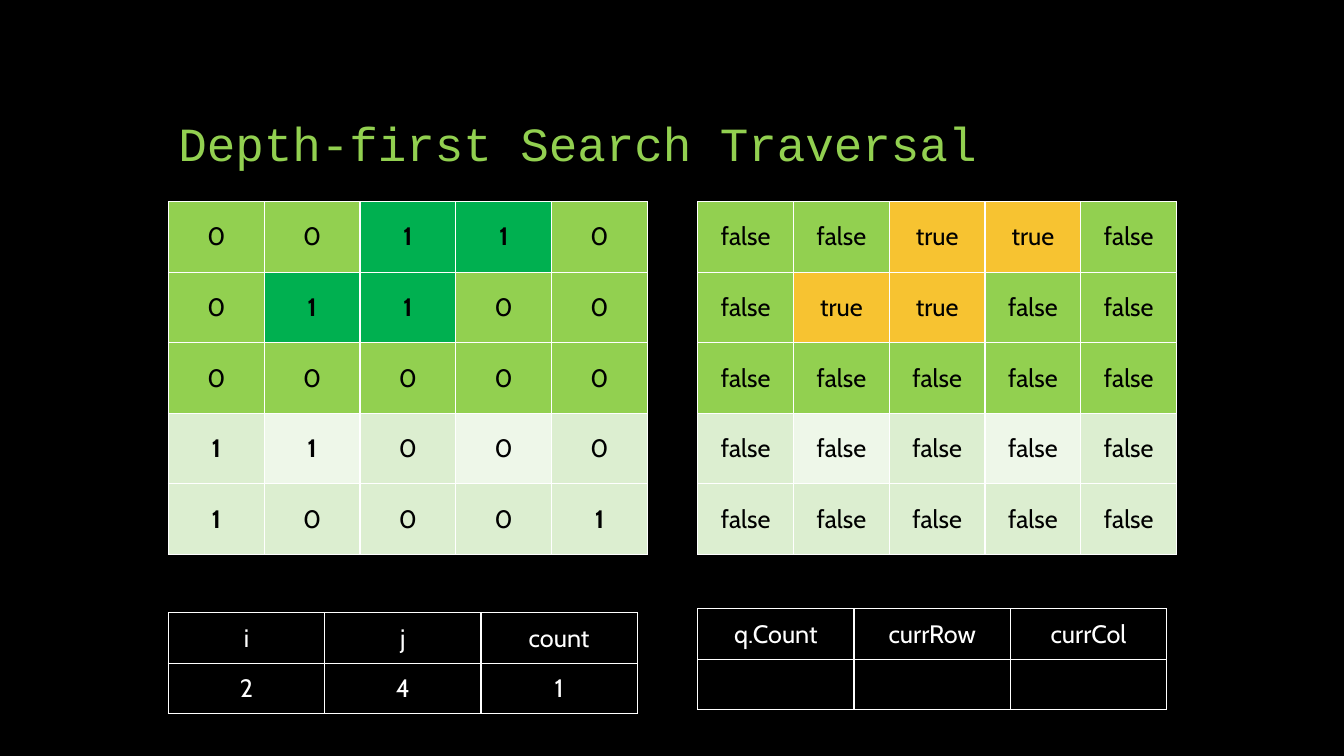
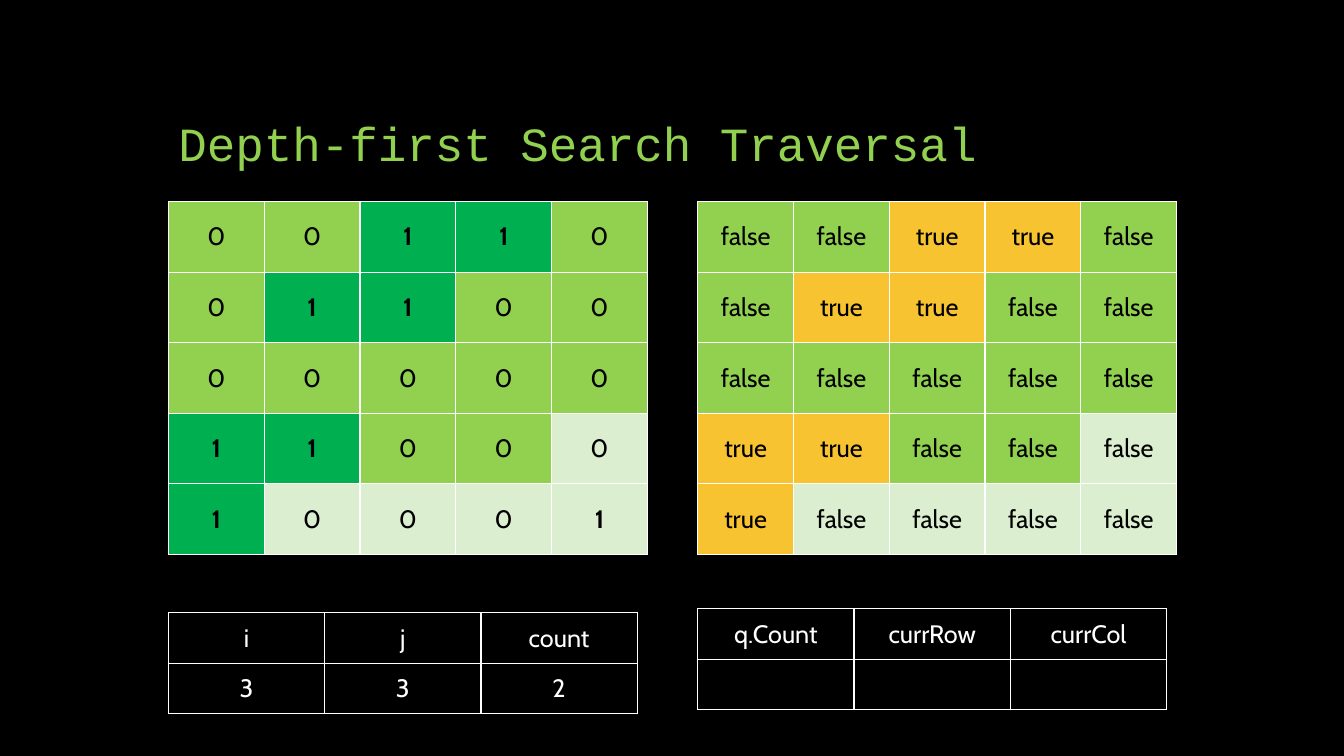
from dataclasses import dataclass

from lxml.etree import SubElement
from pptx import Presentation
from pptx.dml.color import RGBColor
from pptx.enum.text import MSO_ANCHOR, PP_ALIGN
from pptx.oxml.ns import qn
from pptx.util import Emu, Pt

Position = tuple[int, int]

EMU_PER_PX = 9144  # 100 px to the inch


@dataclass(frozen=True)
class Theme:
    background: str = "000000"
    title: str = "92D050"
    border: str = "FFFFFF"
    light_text: str = "FFFFFF"
    dark_text: str = "000000"
    scanned: str = "92D050"
    island: str = "00B050"
    visited: str = "F7C331"
    unseen: str = "DCEED0"
    unseen_pale: str = "EEF7E9"
    title_font: str = "Courier New"
    body_font: str = "Cabin"
    title_size: int = 34
    body_size: int = 18
    border_width: int = 1


@dataclass(frozen=True)
class Cell:
    text: str
    color: str
    fill: str | None = None
    bold: bool = False


@dataclass(frozen=True)
class TableFrame:
    left: int
    top: int
    column_width: int
    row_height: int


@dataclass(frozen=True)
class Step:
    """State of the search once cell (i, j) has been scanned."""
    i: int
    j: int
    count: int
    pale: frozenset[Position] = frozenset()


THEME = Theme()
SLIDE_SIZE = (1333, 750)
TITLE = "Depth-first Search Traversal"
TITLE_BOX = (167, 50, 1000, 125)
LAND_FRAME = TableFrame(167, 200, 95, 70)
VISITED_FRAME = TableFrame(692, 200, 95, 70)
COUNTER_FRAME = TableFrame(167, 608, 155, 50)
QUEUE_FRAME = TableFrame(692, 604, 155, 50)

LAND = ("00110", "01100", "00000", "11000", "10001")
STEPS = (
    Step(2, 4, 1, frozenset({(3, 1), (3, 3)})),
    Step(3, 3, 2),
)


def px(length: int) -> Emu:
    return Emu(length * EMU_PER_PX)


def rgb(color: str) -> RGBColor:
    return RGBColor.from_string(color)


def add_run(paragraph, text: str, font: str, size: int, color: str, bold: bool = False) -> None:
    run = paragraph.add_run()
    run.text = text
    run.font.name = font
    run.font.size = Pt(size)
    run.font.bold = bold
    run.font.color.rgb = rgb(color)


def add_borders(table_cell) -> None:
    properties = table_cell._tc.get_or_add_tcPr()
    for side in ("lnL", "lnR", "lnT", "lnB"):
        line = SubElement(properties, qn(f"a:{side}"), w=str(Pt(THEME.border_width)))
        fill = SubElement(line, qn("a:solidFill"))
        SubElement(fill, qn("a:srgbClr"), val=THEME.border)


def style_cell(table_cell, content: Cell) -> None:
    add_borders(table_cell)
    if content.fill:
        table_cell.fill.solid()
        table_cell.fill.fore_color.rgb = rgb(content.fill)
    else:
        table_cell.fill.background()
    table_cell.vertical_anchor = MSO_ANCHOR.MIDDLE
    paragraph = table_cell.text_frame.paragraphs[0]
    paragraph.alignment = PP_ALIGN.CENTER
    if content.text:
        add_run(paragraph, content.text, THEME.body_font, THEME.body_size,
                content.color, content.bold)


def add_grid(slide, frame: TableFrame, rows: list[list[Cell]]) -> None:
    row_count, column_count = len(rows), len(rows[0])
    table = slide.shapes.add_table(
        row_count, column_count, px(frame.left), px(frame.top),
        px(frame.column_width * column_count), px(frame.row_height * row_count)).table
    table.first_row = False
    table.horz_banding = False
    for column in table.columns:
        column.width = px(frame.column_width)
    for row, contents in zip(table.rows, rows):
        row.height = px(frame.row_height)
        for table_cell, content in zip(row.cells, contents):
            style_cell(table_cell, content)


def add_title(slide) -> None:
    frame = slide.shapes.add_textbox(*map(px, TITLE_BOX)).text_frame
    frame.word_wrap = True
    frame.vertical_anchor = MSO_ANCHOR.BOTTOM
    paragraph = frame.paragraphs[0]
    paragraph.line_spacing = 0.9
    add_run(paragraph, TITLE, THEME.title_font, THEME.title_size, THEME.title)


def is_land(row: int, column: int) -> bool:
    return (0 <= row < len(LAND) and 0 <= column < len(LAND[0])
            and LAND[row][column] == "1")


def visited_land(step: Step) -> set[Position]:
    """Every land cell connected to a scanned one."""
    pending = [(row, column) for row in range(len(LAND)) for column in range(len(LAND[0]))
               if (row, column) <= (step.i, step.j)]
    visited: set[Position] = set()
    while pending:
        row, column = pending.pop()
        if is_land(row, column) and (row, column) not in visited:
            visited.add((row, column))
            pending += [(row - 1, column), (row + 1, column),
                        (row, column - 1), (row, column + 1)]
    return visited


def search_rows(step: Step) -> tuple[list[list[Cell]], list[list[Cell]]]:
    """Cells of the land grid and of the grid of visited flags."""
    visited = visited_land(step)
    land_rows, flag_rows = [], []
    for row, digits in enumerate(LAND):
        land_row, flag_row = [], []
        for column, digit in enumerate(digits):
            position = (row, column)
            reached = position in visited
            if position <= (step.i, step.j):
                base = THEME.scanned
            else:
                base = THEME.unseen_pale if position in step.pale else THEME.unseen
            land_row.append(Cell(digit, THEME.dark_text,
                                 THEME.island if reached else base, digit == "1"))
            flag_row.append(Cell("true" if reached else "false", THEME.dark_text,
                                 THEME.visited if reached else base))
        land_rows.append(land_row)
        flag_rows.append(flag_row)
    return land_rows, flag_rows


def variable_rows(names: tuple[str, ...], values: tuple[str, ...]) -> list[list[Cell]]:
    return [[Cell(text, THEME.light_text) for text in row] for row in (names, values)]


def add_step_slide(presentation, step: Step) -> None:
    slide = presentation.slides.add_slide(presentation.slide_layouts[6])
    slide.background.fill.solid()
    slide.background.fill.fore_color.rgb = rgb(THEME.background)
    add_title(slide)
    land_rows, flag_rows = search_rows(step)
    add_grid(slide, LAND_FRAME, land_rows)
    add_grid(slide, VISITED_FRAME, flag_rows)
    add_grid(slide, COUNTER_FRAME, variable_rows(
        ("i", "j", "count"), (str(step.i), str(step.j), str(step.count))))
    add_grid(slide, QUEUE_FRAME, variable_rows(
        ("q.Count", "currRow", "currCol"), ("", "", "")))


def main() -> None:
    presentation = Presentation()
    presentation.slide_width, presentation.slide_height = map(px, SLIDE_SIZE)
    for step in STEPS:
        add_step_slide(presentation, step)
    presentation.save("out.pptx")


if __name__ == "__main__":
    main()
